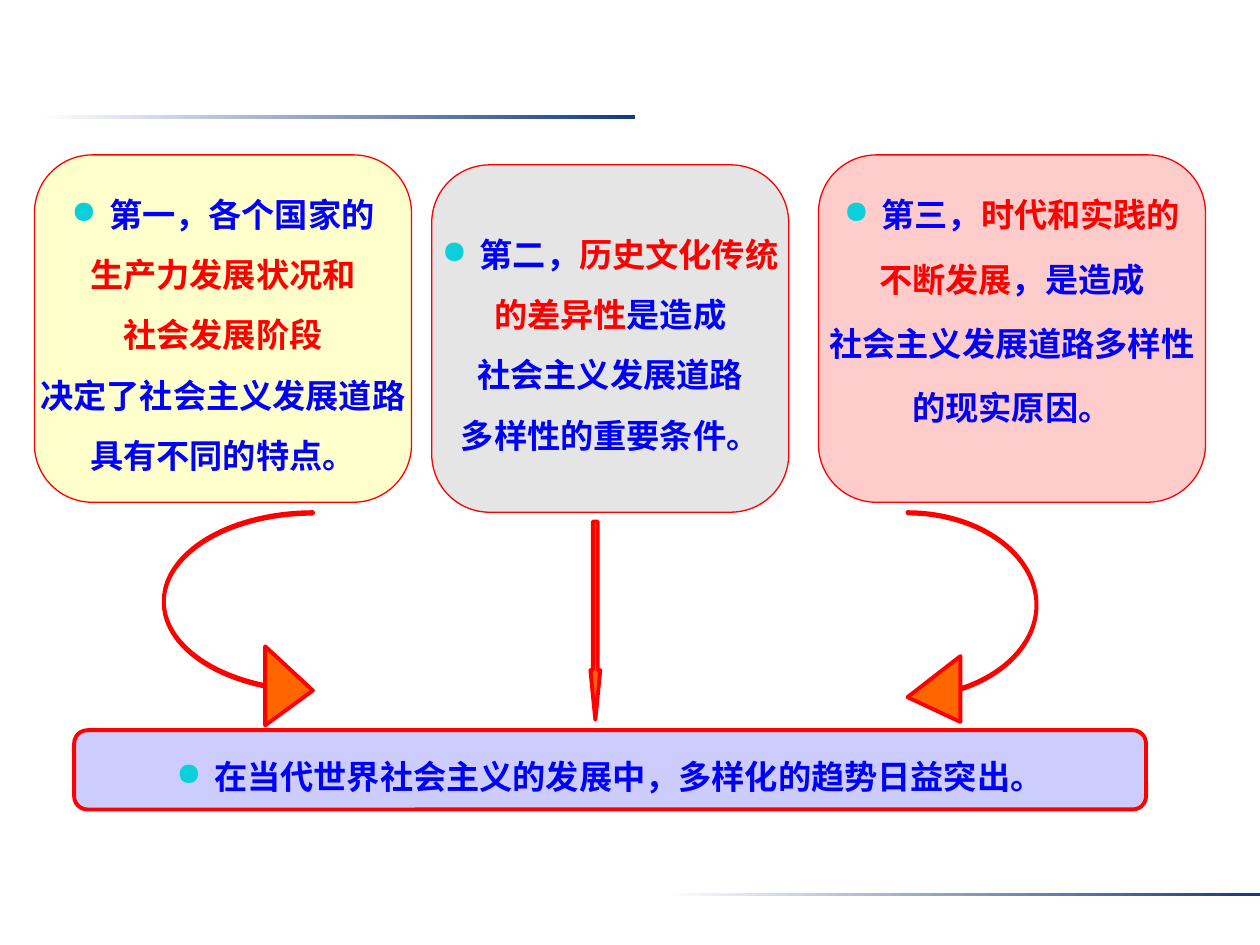
"""Slide on three causes that lead to the diversity of socialism."""
from lxml.etree import SubElement
from pptx import Presentation
from pptx.dml.color import RGBColor
from pptx.enum.shapes import MSO_SHAPE
from pptx.enum.text import MSO_ANCHOR, PP_ALIGN
from pptx.oxml.ns import qn
from pptx.util import Pt

WHITE = RGBColor(0xFF, 0xFF, 0xFF)
NAVY = RGBColor(0x13, 0x39, 0x84)
RED = RGBColor(0xFF, 0, 0)
BLUE = RGBColor(0, 0, 0xFF)
GOLD = RGBColor(0xFF, 0xFF, 0)
GRAY = RGBColor(0x80, 0x80, 0x80)
CORAL = RGBColor(0xFF, 0x66, 0)
CYAN = RGBColor(0x0B, 0xD0, 0xD9)
FONT = "Noto Sans CJK JP"


def add_form(kind, place, fill, width):
    form = shapes.add_shape(kind, *map(Pt, place))
    form.shadow.inherit = False
    form.fill.solid()
    form.fill.fore_color.rgb = fill
    form.line.color.rgb = RED
    form.line.width = Pt(width)
    return form


def add_card(place, fill, width, space, foot, rows):
    card = add_form(MSO_SHAPE.ROUNDED_RECTANGLE, place, fill, width)
    tint = card.fill._xPr.find(qn("a:solidFill"))[0]
    SubElement(tint, qn("a:alpha"), val="20000")
    frame = card.text_frame
    frame.word_wrap = False
    frame.vertical_anchor = MSO_ANCHOR.MIDDLE
    frame.margin_bottom = Pt(foot)
    for i, row in enumerate(rows):
        para = frame.add_paragraph() if i else frame.paragraphs[0]
        para.alignment = PP_ALIGN.CENTER
        para.line_spacing = space
        props = para._p.get_or_add_pPr()
        props.set("marL", str(Pt(21.6)))
        props.set("indent", str(-Pt(21.6)))
        if i:
            para.space_before = Pt(4.8)
            SubElement(props, qn("a:buNone"))
        else:
            color = SubElement(props, qn("a:buClr"))
            SubElement(color, qn("a:srgbClr"), val=str(CYAN))
            SubElement(props, qn("a:buSzPct"), val="95000")
            SubElement(props, qn("a:buChar"), char="●")
        for text, ink in row:
            run = para.add_run()
            run.text = text
            run.font.size = Pt(19)
            run.font.bold = True
            run.font.name = FONT
            run.font.color.rgb = ink
            SubElement(run.font._element, qn("a:ea"), typeface=FONT)


deck = Presentation()
deck.slide_width, deck.slide_height = Pt(720), Pt(540)
shapes = deck.slides.add_slide(deck.slide_layouts[6]).shapes

for left, top in [(22.7, 65.8), (380, 510.1)]:
    rule = shapes.add_shape(MSO_SHAPE.RECTANGLE, Pt(left), Pt(top), Pt(340), Pt(2.2))
    rule.shadow.inherit = False
    rule.line.fill.background()
    rule.fill.gradient()
    rule.fill.gradient_angle = 0
    for stop, color, spot in zip(rule.fill.gradient_stops, [WHITE, NAVY], [0, 1]):
        stop.color.rgb = color
        stop.position = spot

cards = [
    ((19.7, 88.5, 215.5, 198.5), GOLD, 0.75, 1.3, 3.6, [
        [("第一，各个国家的", BLUE)],
        [("生产力发展状况和", RED)],
        [("社会发展阶段", RED)],
        [("决定了社会主义发展道路", BLUE)],
        [("具有不同的特点。", BLUE)]]),
    ((246.7, 94.2, 204, 198.5), GRAY, 0.75, 1.3, 3.6, [
        [("第二，", BLUE), ("历史文化传统", RED)],
        [("的差异性", RED), ("是造成", BLUE)],
        [("社会主义发展道路", BLUE)],
        [("多样性的重要条件。", BLUE)]]),
    ((467.7, 88.5, 221.2, 198.5), RED, 0.75, 1.4, 32.9, [
        [("第三，", BLUE), ("时代和实践的", RED)],
        [("不断发展", RED), ("，是造成", BLUE)],
        [("社会主义发展道路多样性", BLUE)],
        [("的现实原因。", BLUE)]]),
    ((42.4, 417.3, 612.5, 45.3), BLUE, 2.25, 1.3, 3.6, [
        [("在当代世界社会主义的发展中，多样化的趋势日益突出。", BLUE)]]),
]
for card in cards:
    add_card(*card)

arrows = [
    (MSO_SHAPE.CURVED_RIGHT_ARROW, (93.6, 292.7, 85.2, 124.5), [0.01, 0.53, 0.32]),
    (MSO_SHAPE.CURVED_LEFT_ARROW, (518.6, 292.7, 73.7, 124.5), [0.01, 0.51, 0.41]),
    (MSO_SHAPE.DOWN_ARROW, (337.4, 298, 5.6, 113.3), [0.5, 5.05]),
]
for kind, place, bends in arrows:
    arrow = add_form(kind, place, CORAL, 2.25)
    for i, bend in enumerate(bends):
        arrow.adjustments[i] = bend

deck.save("out.pptx")
